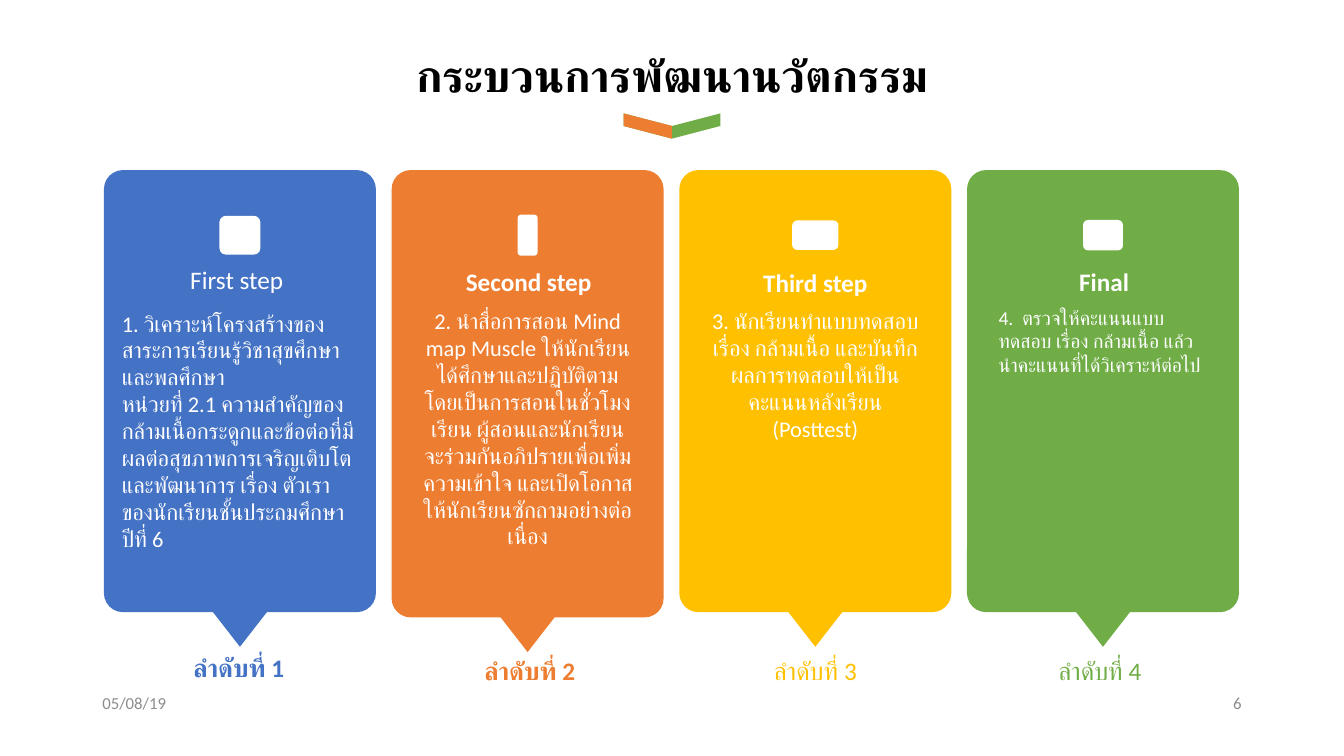
import pptx
import pptx.util
import pptx.dml.color
import pptx.enum.shapes
import pptx.enum.text
import pptx.oxml.ns
import lxml.etree
from dataclasses import dataclass

# Content
TITLE = "กระบวนการพัฒนานวัตกรรม"
DATE, NUMBER = "05/08/19", "6"
STEPS = [
    dict(
        colour="4472C4", height=421, icon=(39, 37), body_align="LEFT", body_size=16,
        head="First step", head_box=(-3, 252, 100), head_bold=False,
        body="1. วิเคราะห์โครงสร้างของสาระการเรียนรู้วิชาสุขศึกษาและพลศึกษา \v"
             "หน่วยที่ 2.1 ความสำคัญของกล้ามเนื้อกระดูกและข้อต่อที่มีผลต่อสุขภาพ"
             "การเจริญเติบโตและพัฒนาการ เรื่อง ตัวเรา ของนักเรียนชั้นประถมศึกษาปีที่ 6",
        body_box=(-1, 295, 223, 232),
        label="ลำดับที่ 1", label_box=(-1, 621, 92), label_bold=True),
    dict(
        colour="ED7D31", height=426, icon=(19, 39), body_align="CENTER", body_size=16,
        head="Second step", head_box=(1, 254, 126), head_bold=True,
        body="2. นำสื่อการสอน Mind map Muscle ให้นักเรียนได้ศึกษาและปฏิบัติตาม "
             "โดยเป็นการสอนในชั่วโมงเรียน ผู้สอนและนักเรียนจะร่วมกันอภิปราย"
             "เพื่อเพิ่มความเข้าใจ และเปิดโอกาสให้นักเรียนซักถามอย่างต่อเนื่อง",
        body_box=(0, 293, 199, 258),
        label="ลำดับที่ 2", label_box=(2, 624, 90), label_bold=True),
    dict(
        colour="FFC000", height=421, icon=(44, 28), body_align="CENTER", body_size=16,
        head="Third step", head_box=(0, 255, 105), head_bold=True,
        body="3. นักเรียนทำแบบทดสอบ เรื่อง กล้ามเนื้อ "
             "และบันทึกผลการทดสอบให้เป็นคะแนนหลังเรียน (Posttest)",
        body_box=(0, 293, 199, 156),
        label="ลำดับที่ 3", label_box=(0, 624, 92), label_bold=False),
    dict(
        colour="70AD47", height=421, icon=(38, 29), body_align="LEFT", body_size=14,
        head="Final", head_box=(1, 254, 51), head_bold=True,
        body="4.  ตรวจให้คะแนนแบบทดสอบ เรื่อง กล้ามเนื้อ แล้วนำคะแนนที่ได้วิเคราะห์ต่อไป",
        body_box=(0, 291, 199, 90),
        label="ลำดับที่ 4", label_box=(-3, 624, 92), label_bold=False),
]


@dataclass(frozen=True)
class Theme:
    font: str = "Calibri"
    ink: str = "000000"
    white: str = "FFFFFF"
    grey: str = "8C8C8C"
    left: str = "ED7D31"
    right: str = "70AD47"
    title: int = 32
    head: int = 18
    footer: int = 12


THEME = Theme()
SHAPE = pptx.enum.shapes.MSO_SHAPE
ALIGN = pptx.enum.text.PP_ALIGN
ANCHOR = pptx.enum.text.MSO_ANCHOR

# Layout in px, 96 to the inch
PX = 9525
WIDTH, HEIGHT = 1280, 720
CARD_LEFT, CARD_TOP, CARD_W, CARD_PITCH = 99, 162, 259, 274
POINTER_W, POINTER_H, POINTER_OVERLAP = 56, 36, 3
ICON_MIDDLE = 224
HEAD_H = 29
MARK_W, MARK_H, MARK_TOP = 92, 24, 108
FOOTER_TOP, FOOTER_W, FOOTER_H = 650, 288, 38


def emu(*lengths):
    return [round(length * PX) for length in lengths]


def rgb(colour):
    return pptx.dml.color.RGBColor.from_string(colour)


def paint(sp, colour):
    sp.shadow.inherit = False
    sp.fill.solid()
    sp.fill.fore_color.rgb = rgb(colour)
    sp.line.fill.background()


def add_shape(s, kind, box, colour):
    sp = s.shapes.add_shape(kind, *emu(*box))
    paint(sp, colour)
    return sp


def write(tf, text, size, colour, align, bold=False):
    p = tf.paragraphs[0]
    p.text = text
    p.alignment = align
    p.font.name = THEME.font
    p.font.size = pptx.util.Pt(size)
    p.font.bold = bold
    p.font.color.rgb = rgb(colour)
    # Thai letters use the complex-script font
    latin = next(p.font._element.iter(pptx.oxml.ns.qn("a:latin"))) if hasattr(p.font, "_element") \
        else next(p._p.iter(pptx.oxml.ns.qn("a:latin")))
    cs = lxml.etree.Element(pptx.oxml.ns.qn("a:cs"), typeface=THEME.font)
    latin.addnext(cs)


def add_text(s, box, text, size, colour, align, bold=False, inset=True, wrap=True):
    tf = s.shapes.add_textbox(*emu(*box)).text_frame
    tf.word_wrap = wrap
    if not inset:
        tf.margin_left = tf.margin_top = tf.margin_right = tf.margin_bottom = 0
    write(tf, text, size, colour, align, bold)
    return tf


def add_step(s, index, step):
    left = CARD_LEFT + index * CARD_PITCH
    middle = left + CARD_W / 2
    bottom = CARD_TOP + step["height"]

    # Card with its pointer
    sp = add_shape(s, SHAPE.ISOSCELES_TRIANGLE,
                   (middle - POINTER_W / 2, bottom - POINTER_OVERLAP, POINTER_W, POINTER_H),
                   step["colour"])
    sp.rotation = 180
    sp = add_shape(s, SHAPE.ROUNDED_RECTANGLE, (left, CARD_TOP, CARD_W, step["height"]),
                   step["colour"])
    sp.adjustments[0] = 0.07

    # Plain icon
    w, h = step["icon"]
    add_shape(s, SHAPE.ROUNDED_RECTANGLE, (middle - w / 2, ICON_MIDDLE - h / 2, w, h),
              THEME.white)

    # Body, heading and label
    shift, top, w, h = step["body_box"]
    add_text(s, (middle + shift - w / 2, top, w, h), step["body"], step["body_size"],
             THEME.white, getattr(ALIGN, step["body_align"]), inset=False)
    for part, colour in (("head", THEME.white), ("label", step["colour"])):
        shift, top, w = step[part + "_box"]
        add_text(s, (middle + shift - w / 2, top, w, HEAD_H), step[part], THEME.head,
                 colour, ALIGN.CENTER, step[part + "_bold"], inset=False, wrap=False)


def add_title(s):
    title = s.shapes.title
    title.left, title.top, title.width, title.height = emu(68, 41, 1144, 61)
    tf = title.text_frame
    tf.vertical_anchor = ANCHOR.MIDDLE
    tf.auto_size = pptx.enum.text.MSO_AUTO_SIZE.NONE
    write(tf, TITLE, THEME.title, THEME.ink, ALIGN.CENTER, True)

    # Two-coloured mark under the title
    middle = WIDTH / 2
    sp = add_shape(s, SHAPE.CHEVRON,
                   (middle - MARK_H / 2, MARK_TOP + MARK_H / 2 - MARK_W / 2, MARK_H, MARK_W),
                   THEME.right)
    sp.rotation = 90
    left, half = middle - MARK_W / 2, MARK_H / 2
    builder = s.shapes.build_freeform(left, MARK_TOP, scale=PX)
    builder.add_line_segments([(middle, MARK_TOP + half), (middle, MARK_TOP + MARK_H),
                               (left, MARK_TOP + half)], close=True)
    paint(builder.convert_to_shape(), THEME.left)


def add_footer(s):
    for left, text, align in ((88, DATE, ALIGN.LEFT), (904, NUMBER, ALIGN.RIGHT)):
        tf = add_text(s, (left, FOOTER_TOP, FOOTER_W, FOOTER_H), text, THEME.footer,
                      THEME.grey, align)
        tf.vertical_anchor = ANCHOR.MIDDLE


def main():
    prs = pptx.Presentation()
    prs.slide_width, prs.slide_height = emu(WIDTH, HEIGHT)
    s = prs.slides.add_slide(prs.slide_layouts[5])
    for index, step in enumerate(STEPS):
        add_step(s, index, step)
    add_footer(s)
    add_title(s)
    prs.save("out.pptx")


if __name__ == "__main__":
    main()
